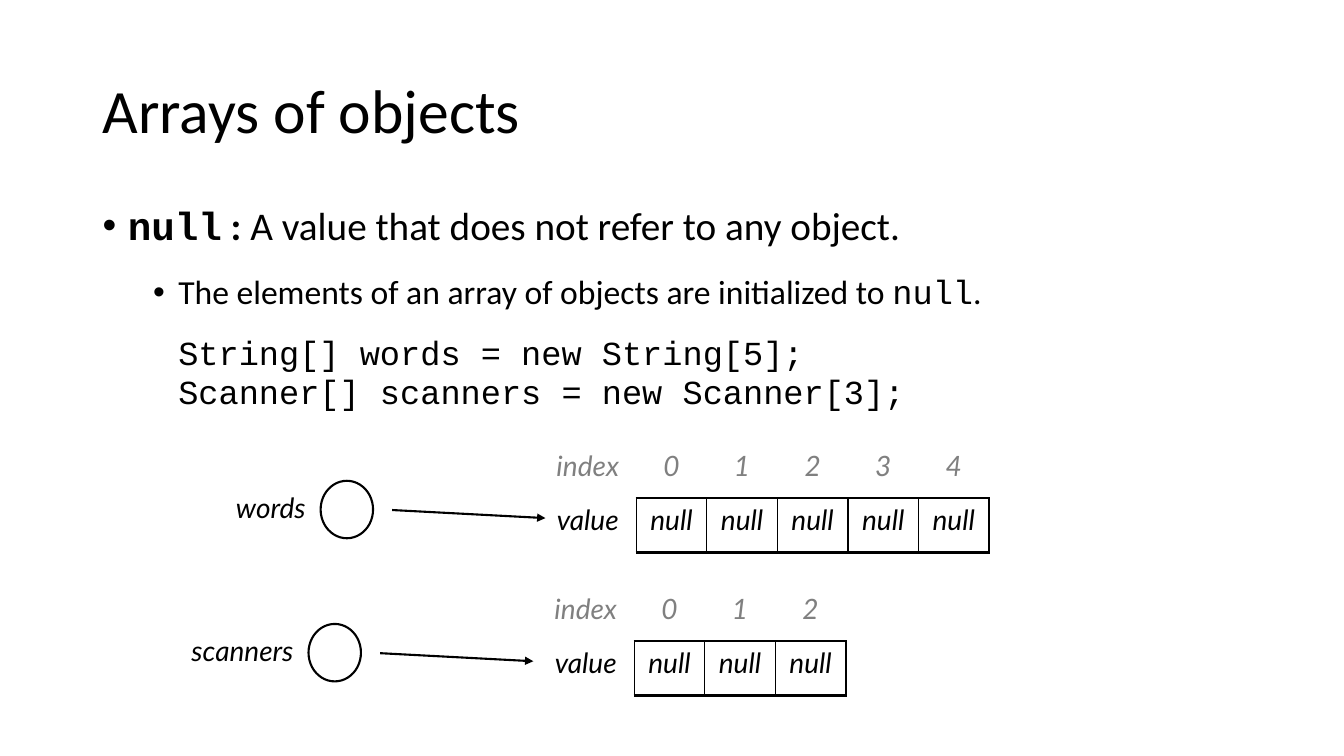
from lxml import etree
from pptx import Presentation
from pptx.dml.color import RGBColor
from pptx.enum.shapes import MSO_CONNECTOR, MSO_SHAPE
from pptx.enum.text import MSO_ANCHOR, PP_ALIGN
from pptx.oxml.ns import qn
from pptx.util import Inches, Pt

BLACK, GRAY, WHITE = "000000", "808080", "FFFFFF"
SANS, CODE, DIAGRAM = "Calibri", "Courier New", "Lato"
NO_STYLE = "{2D5ABB26-0587-4C30-8999-92F81FD0307C}"

TITLE = "Arrays of objects"
# indent, bullet, line spacing, space before, size, runs of (text, font, bold)
BODY = [
    (0.25, True, 0.9, 10, 28, [
        ("null", CODE, True), (" : ", SANS, True),
        ("A value that does not refer to any object.", SANS, False)]),
    (0.75, True, 0.9, 19, 24, [
        ("The elements of an array of objects are initialized to ", SANS, False),
        ("null", CODE, False), (".", SANS, False)]),
    (0.75, False, 0.8, 20, 24, [("String[] words = new String[5];", CODE, False)]),
    (0.75, False, 0.8, 5, 24, [("Scanner[] scanners = new Scanner[3];", CODE, False)]),
]
# name, length, label width, circle left, table left, table top
ARRAYS = [
    ("words", 5, 2.28, 3.18, 5.35, 4.4),
    ("scanners", 3, 2.76, 3.06, 5.33, 5.82),
]
HEADING_WIDTH, CELL_WIDTH, ROW_HEIGHT = 0.96, 0.7, 0.54
CIRCLE_WIDTH, CIRCLE_HEIGHT = 0.52, 0.57


def color(value):
    return RGBColor.from_string(value)


def add_run(paragraph, text, size, font, fill=BLACK, bold=False, italic=False):
    run = paragraph.add_run()
    run.text = text
    run.font.size = Pt(size)
    run.font.name = font
    run.font.bold = bold
    run.font.italic = italic
    run.font.color.rgb = color(fill)


def add_text_frame(slide, left, top, width, height):
    box = slide.shapes.add_textbox(*map(Inches, (left, top, width, height)))
    box.text_frame.word_wrap = True
    return box.text_frame


def add_title(slide):
    frame = add_text_frame(slide, 0.92, 0.4, 11.5, 1.45)
    frame.vertical_anchor = MSO_ANCHOR.MIDDLE
    paragraph = frame.paragraphs[0]
    paragraph.line_spacing = 0.9
    add_run(paragraph, TITLE, 44, SANS)


def add_body(slide):
    frame = add_text_frame(slide, 0.92, 2, 11.5, 4.76)
    for number, (indent, bullet, spacing, before, size, runs) in enumerate(BODY):
        paragraph = frame.add_paragraph() if number else frame.paragraphs[0]
        paragraph.line_spacing = spacing
        paragraph.space_before = Pt(before)
        properties = paragraph._p.get_or_add_pPr()
        properties.set("marL", str(Inches(indent)))
        if bullet:
            properties.set("indent", str(Inches(-0.25)))
            etree.SubElement(properties, qn("a:buFont")).set("typeface", "Arial")
            etree.SubElement(properties, qn("a:buChar")).set("char", "•")
        for text, font, bold in runs:
            add_run(paragraph, text, size, font, bold=bold)


def set_borders(cell, widths):
    """Draw black borders, given as points by side: L, R, T, B."""
    properties = cell._tc.get_or_add_tcPr()
    sides = [side for side in "LRTB" if side in widths]
    for position, side in enumerate(sides):
        line = etree.Element(qn(f"a:ln{side}"), w=str(Pt(widths[side])))
        fill = etree.SubElement(line, qn("a:solidFill"))
        etree.SubElement(fill, qn("a:srgbClr")).set("val", BLACK)
        properties.insert(position, line)


def add_array_table(slide, length, left, top):
    rows = [["index", *map(str, range(length))], ["value"] + ["null"] * length]
    width = HEADING_WIDTH + length * CELL_WIDTH
    frame = slide.shapes.add_table(
        2, length + 1, *map(Inches, (left, top, width, 2 * ROW_HEIGHT)))
    table = frame.table
    table.first_row = table.horz_banding = False
    table._tbl.tblPr.find(qn("a:tableStyleId")).text = NO_STYLE
    for number, column in enumerate(table.columns):
        column.width = Inches(CELL_WIDTH if number else HEADING_WIDTH)
    for row, texts in enumerate(rows):
        table.rows[row].height = Inches(ROW_HEIGHT)
        for column, text in enumerate(texts):
            cell = table.cell(row, column)
            cell.fill.background()
            paragraph = cell.text_frame.paragraphs[0]
            paragraph.alignment = PP_ALIGN.CENTER
            add_run(paragraph, text, 20, DIAGRAM, BLACK if row else GRAY, italic=True)
            if row and column:
                right = 2.25 if column == length else 1
                set_borders(cell, {"L": 1, "R": right, "T": 1, "B": 2.25})
            elif row:
                set_borders(cell, {"R": 1})
            elif column:
                set_borders(cell, {"B": 1})


def add_reference(slide, name, label_width, circle_left, table_top):
    """Draw a variable: its name, its circle and the arrow to its array."""
    frame = add_text_frame(
        slide, circle_left - 0.05 - label_width, table_top + 0.42, label_width, 0.49)
    paragraph = frame.paragraphs[0]
    paragraph.alignment = PP_ALIGN.RIGHT
    add_run(paragraph, name, 20, DIAGRAM, italic=True)

    arrow = slide.shapes.add_connector(MSO_CONNECTOR.STRAIGHT, *map(Inches, (
        circle_left + 0.71, table_top + 0.66, circle_left + 2.23, table_top + 0.74)))
    arrow.line.color.rgb = color(BLACK)
    arrow.line.width = Pt(1.5)
    etree.SubElement(arrow.line._get_or_add_ln(), qn("a:tailEnd")).set("type", "triangle")
    etree.SubElement(arrow._element.spPr, qn("a:effectLst"))

    circle = slide.shapes.add_shape(MSO_SHAPE.OVAL, *map(Inches, (
        circle_left, table_top + 0.37, CIRCLE_WIDTH, CIRCLE_HEIGHT)))
    circle.shadow.inherit = False
    circle.fill.solid()
    circle.fill.fore_color.rgb = color(WHITE)
    circle.line.color.rgb = color(BLACK)
    circle.line.width = Pt(1.5)


def main():
    presentation = Presentation()
    presentation.slide_width = Inches(13.33)
    presentation.slide_height = Inches(7.5)
    slide = presentation.slides.add_slide(presentation.slide_layouts[6])
    add_title(slide)
    add_body(slide)
    for name, length, label_width, circle_left, table_left, table_top in ARRAYS:
        add_array_table(slide, length, table_left, table_top)
        add_reference(slide, name, label_width, circle_left, table_top)
    presentation.save("out.pptx")


if __name__ == "__main__":
    main()
